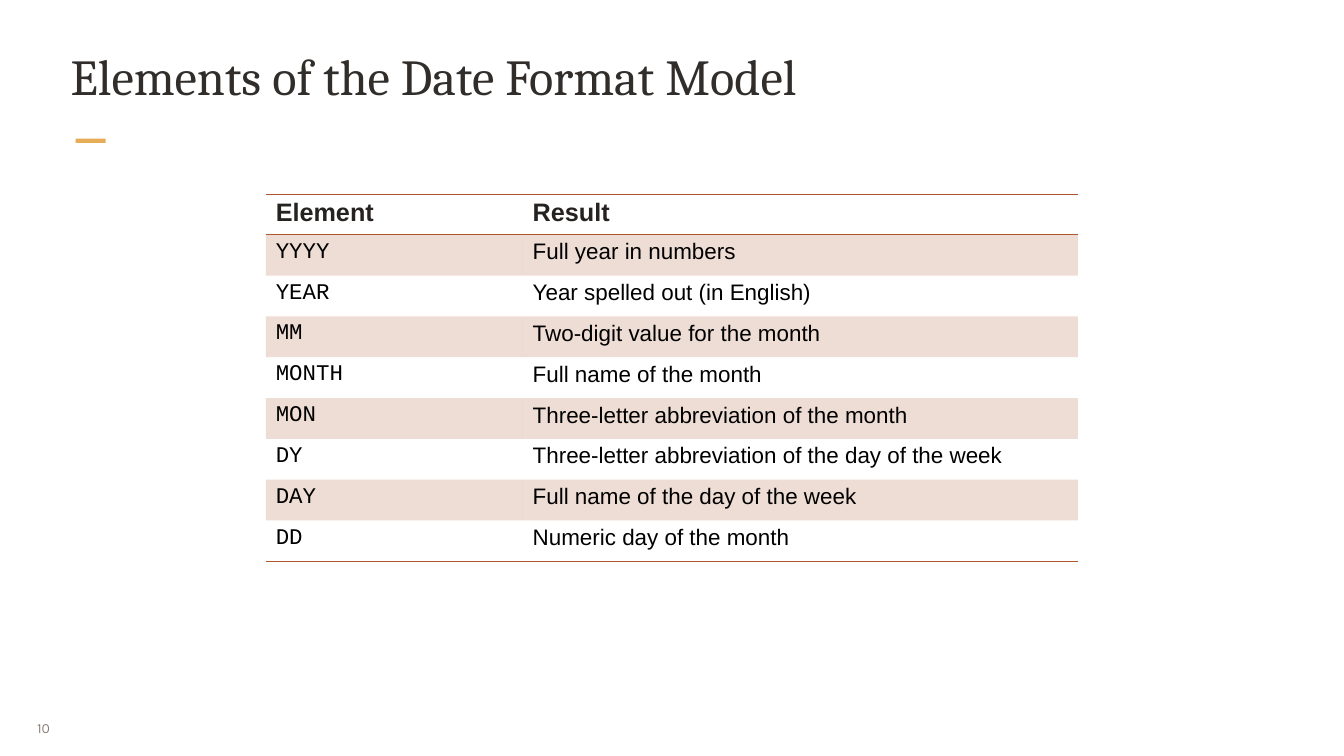
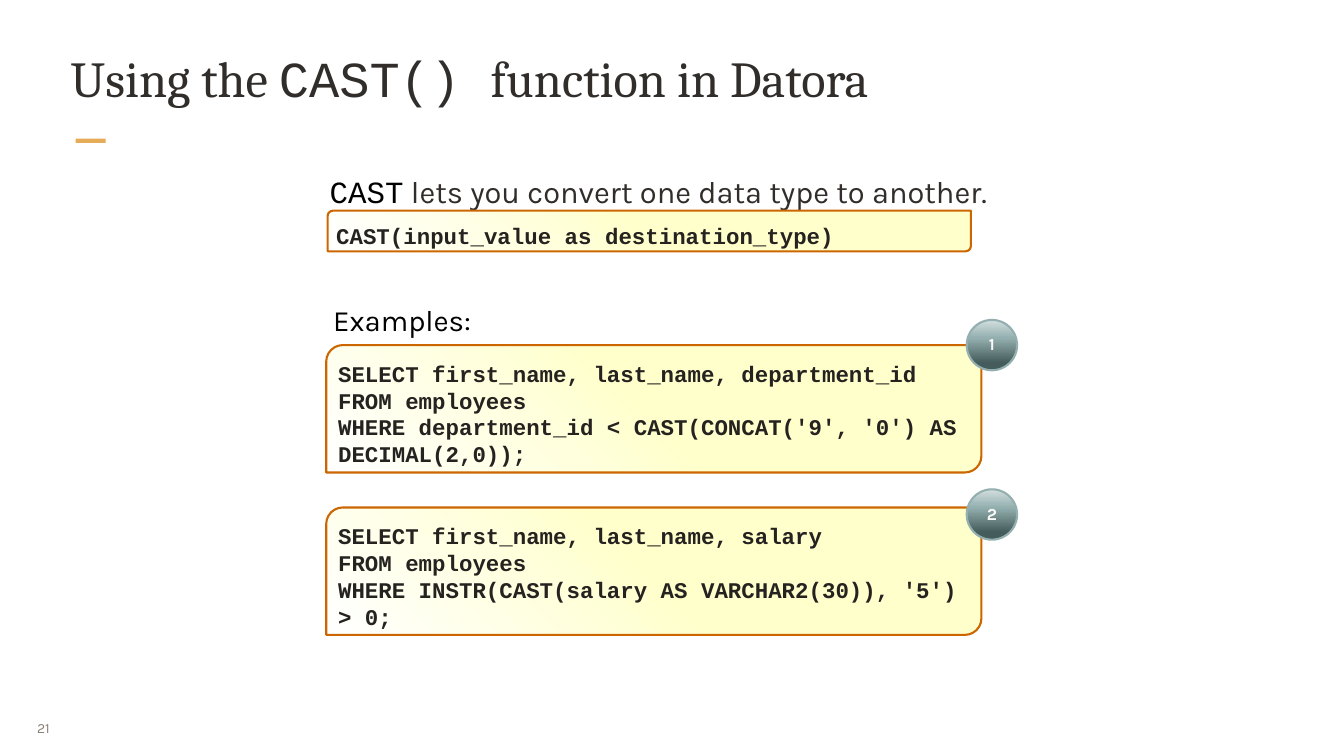
from lxml import etree
from pptx import Presentation
from pptx.dml.color import RGBColor
from pptx.enum.shapes import MSO_SHAPE
from pptx.enum.text import MSO_ANCHOR, PP_ALIGN
from pptx.oxml.ns import qn
from pptx.util import Emu, Pt

PX = 9525  # EMU in one px of a 1920 x 1080 slide

RECTANGLE = MSO_SHAPE.RECTANGLE
CODE_BOX = MSO_SHAPE.ROUND_2_DIAG_RECTANGLE
OVAL = MSO_SHAPE.OVAL
TOP, MIDDLE = MSO_ANCHOR.TOP, MSO_ANCHOR.MIDDLE
LEFT, CENTER, JUSTIFY = PP_ALIGN.LEFT, PP_ALIGN.CENTER, PP_ALIGN.JUSTIFY

INK = RGBColor(0x31, 0x2D, 0x2A)
CODE_INK = RGBColor(0x25, 0x22, 0x20)
BLACK = RGBColor(0x00, 0x00, 0x00)
WHITE = RGBColor(0xFF, 0xFF, 0xFF)
BADGE_INK = RGBColor(0xFC, 0xFB, 0xFA)
GRAY = RGBColor(0x8B, 0x80, 0x78)
GOLD = RGBColor(0xE6, 0xAC, 0x58)
RUST = RGBColor(0xAE, 0x56, 0x2C)
ORANGE = RGBColor(0xCC, 0x66, 0x00)
CREAM = RGBColor(0xFF, 0xFF, 0xCC)
PALE_TEAL = RGBColor(0xD4, 0xDF, 0xDF)
TEAL = RGBColor(0x94, 0xAF, 0xAF)
DARK_TEAL = RGBColor(0x45, 0x5C, 0x5C)

SERIF, SANS, BODY, MONO = "Cambria", "Arial", "Karla", "Courier New"
CODE_GRADIENT = [(0, CREAM), (50, CREAM), (100, WHITE)]
BADGE_GRADIENT = [(0, PALE_TEAL), (36, TEAL), (85, DARK_TEAL)]
NO_TABLE_STYLE = "{2D5ABB26-0587-4C30-8999-92F81FD0307C}"


def write(shape, paragraphs, size, color, font=None, bold=False, insets=(3, 3, 3, 3),
          anchor=TOP, align=LEFT, spacing=None, wrap=True):
    """Fill a shape with paragraphs, each a string or a list of (text, font, color) runs."""
    frame = shape.text_frame
    frame.word_wrap = wrap
    frame.vertical_anchor = anchor
    frame.margin_left, frame.margin_top, frame.margin_right, frame.margin_bottom = (
        Emu(inset * PX) for inset in insets)
    for index, content in enumerate(paragraphs):
        paragraph = frame.add_paragraph() if index else frame.paragraphs[0]
        paragraph.alignment = align
        if spacing:
            paragraph.line_spacing = spacing
        paragraph.font.size = Pt(size)
        paragraph.font.bold = bold
        paragraph.font.color.rgb = color
        if isinstance(content, str):
            paragraph.font.name = font
            paragraph.add_run().text = content
            continue
        for text, run_font, run_color in content:
            run = paragraph.add_run()
            run.text = text
            run.font.name = run_font
            run.font.color.rgb = run_color


def add_gradient_shape(slide, kind, box, stops, angle, line_color):
    """Add an outlined shape; the angle runs counterclockwise, stops are (percent, color)."""
    shape = slide.shapes.add_shape(kind, *(Emu(length * PX) for length in box))
    shape.shadow.inherit = False
    shape.line.color.rgb = line_color
    shape.line.width = Pt(2.25)
    shape.fill.gradient()
    shape.fill.gradient_angle = angle
    stop_list = shape._element.spPr.find(".//" + qn("a:gsLst"))
    for stop in list(stop_list):
        stop_list.remove(stop)
    for percent, color in stops:
        stop = etree.SubElement(stop_list, qn("a:gs"), pos=str(percent * 1000))
        etree.SubElement(stop, qn("a:srgbClr"), val=str(color))
    return shape


presentation = Presentation()
presentation.slide_width = Emu(1920 * PX)
presentation.slide_height = Emu(1080 * PX)
blank_layout = presentation.slide_layouts[6]

# Shared frame: accent bar, page number and title
pages = [
    ("10", 62, [("Elements of the Date Format Model", SERIF, INK)]),
    ("21", 64, [("Using the ", SERIF, INK), ("CAST() ", MONO, INK),
                ("function in Datora", SERIF, INK)]),
]
slides = []
for number, title_top, title_runs in pages:
    slide = presentation.slides.add_slide(blank_layout)
    slides.append(slide)
    accent_bar = slide.shapes.add_shape(
        RECTANGLE, Emu(108 * PX), Emu(198 * PX), Emu(43 * PX), Emu(6 * PX))
    accent_bar.shadow.inherit = False
    accent_bar.fill.solid()
    accent_bar.fill.fore_color.rgb = GOLD
    accent_bar.line.fill.background()
    page_number = slide.shapes.add_textbox(
        Emu(41 * PX), Emu(1012 * PX), Emu(62 * PX), Emu(56 * PX))
    write(page_number, [number], 15, GRAY, BODY, insets=(12, 7, 12, 7),
          anchor=MIDDLE, align=JUSTIFY, wrap=False)
    title = slide.shapes.add_textbox(
        Emu(98 * PX), Emu(title_top * PX), Emu(1724 * PX), Emu(123 * PX))
    write(title, [title_runs], 54, INK)

format_slide, cast_slide = slides

# Date format table
format_rows = [
    ("Element", "Result"),
    ("YYYY", "Full year in numbers"),
    ("YEAR", "Year spelled out (in English)"),
    ("MM", "Two-digit value for the month"),
    ("MONTH", "Full name of the month"),
    ("MON", "Three-letter abbreviation of the month"),
    ("DY", "Three-letter abbreviation of the day of the week"),
    ("DAY", "Full name of the day of the week"),
    ("DD", "Numeric day of the month"),
]
last_row = len(format_rows) - 1
table = format_slide.shapes.add_table(
    len(format_rows), 2, Emu(380 * PX), Emu(277 * PX), Emu(1160 * PX), Emu(525 * PX)).table
table._tbl.tblPr.find(qn("a:tableStyleId")).text = NO_TABLE_STYLE
table.horz_banding = False
for column, width in zip(table.columns, (367, 793)):
    column.width = Emu(width * PX)

for row_index, texts in enumerate(format_rows):
    is_header = row_index == 0
    borders = {0: ("a:lnT", "a:lnB"), last_row: ("a:lnB",)}.get(row_index, ())
    for column_index, text in enumerate(texts):
        cell = table.cell(row_index, column_index)
        cell.margin_left = cell.margin_right = Emu(14 * PX)
        cell.margin_top = cell.margin_bottom = Emu(7 * PX)
        paragraph = cell.text_frame.paragraphs[0]
        paragraph.font.size = Pt(27 if is_header else 24)
        paragraph.font.bold = is_header
        paragraph.font.name = SANS if is_header or column_index else MONO
        paragraph.font.color.rgb = CODE_INK if is_header else BLACK
        paragraph.add_run().text = text
        properties = cell._tc.get_or_add_tcPr()
        for border in borders:
            line = etree.SubElement(properties, qn(border), w=str(Pt(1)))
            line_fill = etree.SubElement(line, qn("a:solidFill"))
            etree.SubElement(line_fill, qn("a:srgbClr"), val=str(RUST))
        if row_index % 2:
            cell.fill.solid()
            cell.fill.fore_color.rgb = RUST
            band_color = properties.find(qn("a:solidFill") + "/" + qn("a:srgbClr"))
            etree.SubElement(band_color, qn("a:alpha"), val="20000")
        else:
            cell.fill.background()

# CAST syntax and examples
introduction = cast_slide.shapes.add_textbox(
    Emu(468 * PX), Emu(239 * PX), Emu(950 * PX), Emu(62 * PX))
write(introduction, [[("CAST", MONO, BLACK),
                      (" lets you convert one data type to another.", BODY, INK)]],
      33, INK, spacing=1.1)
examples_label = cast_slide.shapes.add_textbox(
    Emu(466 * PX), Emu(426 * PX), Emu(624 * PX), Emu(60 * PX))
write(examples_label, ["Examples:"], 31.5, BLACK, BODY, insets=(10, 5, 10, 5))

code_blocks = [
    ((468, 301, 919, 58), ["CAST(input_value as destination_type)"]),
    ((466, 493, 936, 182), [
        "SELECT first_name, last_name, department_id",
        "FROM employees",
        "WHERE department_id < CAST(CONCAT('9', '0') AS DECIMAL(2,0));"]),
    ((466, 725, 936, 182), [
        "SELECT first_name, last_name, salary",
        "FROM employees",
        "WHERE INSTR(CAST(salary AS VARCHAR2(30)), '5') > 0;"]),
]
for box, code_lines in code_blocks:
    code_box = add_gradient_shape(cast_slide, CODE_BOX, box, CODE_GRADIENT, 225, ORANGE)
    code_box.adjustments[0] = 0.13
    code_box.adjustments[1] = 0
    write(code_box, code_lines, 24, CODE_INK, MONO, bold=True, insets=(10, 14, 2, 0))

for label, badge_top in (("1", 457), ("2", 699)):
    badge = add_gradient_shape(
        cast_slide, OVAL, (1381, badge_top, 72, 72), BADGE_GRADIENT, 270, TEAL)
    write(badge, [label], 18, BADGE_INK, BODY, bold=True, insets=(10, 10, 10, 10),
          anchor=MIDDLE, align=CENTER, spacing=0.95, wrap=False)

presentation.save("out.pptx")
